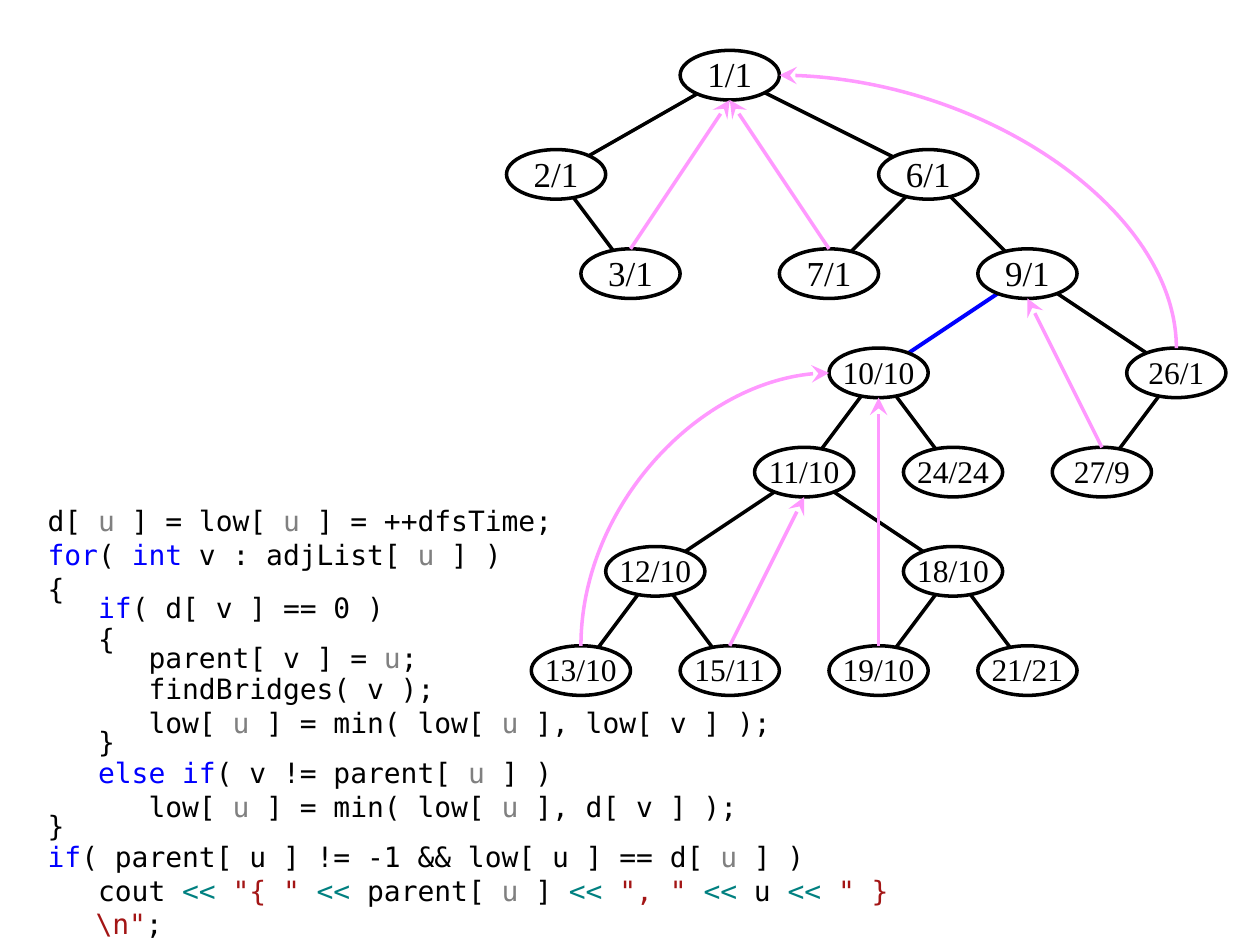
from lxml.etree import SubElement
from pptx import Presentation
from pptx.dml.color import RGBColor
from pptx.enum.shapes import MSO_CONNECTOR as Link, MSO_SHAPE as Preset
from pptx.enum.text import MSO_ANCHOR as Anchor, PP_ALIGN as Align
from pptx.oxml.ns import qn
from pptx.util import Inches, Pt

BLACK = RGBColor(0x00, 0x00, 0x00)
WHITE = RGBColor(0xFF, 0xFF, 0xFF)
BLUE = RGBColor(0x00, 0x00, 0xFF)
GRAY = RGBColor(0x80, 0x80, 0x80)
TEAL = RGBColor(0x00, 0x80, 0x80)
RED = RGBColor(0xA3, 0x15, 0x15)
PINK = RGBColor(0xFF, 0x99, 0xFF)

U = ("u", GRAY)
SHIFT = ("<<", TEAL)
SHIFT_GAP = ("<< ", TEAL)
CODE = [
    ["d[ ", U, " ] = low[ ", U, " ] = ++dfsTime;"],
    [("for", BLUE), "( ", ("int", BLUE), " v : adjList[ ", U, " ] )"],
    ["{"],
    ["   ", ("if", BLUE), "( d[ v ] == 0 )"],
    ["   {"],
    ["      parent[ v ] = ", U, ";"],
    ["      findBridges( v );"],
    ["      low[ ", U, " ] = min( low[ ", U, " ], low[ v ] );"],
    ["   }"],
    ["   ", ("else if", BLUE), "( v != parent[ ", U, " ] )"],
    ["      low[ ", U, " ] = min( low[ ", U, " ], d[ v ] );"],
    ["}"],
    [("if", BLUE), "( parent[ u ] != -1 && low[ u ] == d[ ", U, " ] )"],
    ["   cout ", SHIFT_GAP, ('"{ " ', RED), SHIFT, " parent[ ", U, " ] ", SHIFT_GAP,
     ('", " ', RED), SHIFT, " u ", SHIFT_GAP, ('" }\\n"', RED), ";"],
]
TIGHT_LINES = {3, 5, 8, 11}

TREE_COLUMNS = 29
NODES = {
    "1/1": (9, 0), "2/1": (2, 1), "6/1": (17, 1),
    "3/1": (5, 2), "7/1": (13, 2), "9/1": (21, 2),
    "10/10": (15, 3), "26/1": (27, 3),
    "11/10": (12, 4), "24/24": (18, 4), "27/9": (24, 4),
    "12/10": (6, 5), "18/10": (18, 5),
    "13/10": (3, 6), "15/11": (9, 6), "19/10": (15, 6), "21/21": (21, 6),
}
CHILDREN = {
    "1/1": ["2/1", "6/1"], "2/1": ["3/1"], "6/1": ["7/1", "9/1"],
    "9/1": ["10/10", "26/1"], "10/10": ["11/10", "24/24"], "26/1": ["27/9"],
    "11/10": ["12/10", "18/10"], "12/10": ["13/10", "15/11"],
    "18/10": ["19/10", "21/21"],
}
BRIDGE = ("9/1", "10/10")
STRAIGHT_BACK_EDGES = [("3/1", "1/1"), ("7/1", "1/1"), ("27/9", "9/1"),
                       ("19/10", "10/10"), ("15/11", "11/10")]
CURVED_BACK_EDGES = [("26/1", "1/1"), ("13/10", "10/10")]


def add_link(slide, kind, start, end, color, weight=2, arrow=False):
    """Add a connector between two points, with an optional arrowhead at its end."""
    link = slide.shapes.add_connector(kind, *map(int, (*start, *end)))
    link.line.color.rgb = color
    link.line.width = Pt(weight)
    properties = link._element.spPr
    if arrow:
        SubElement(properties.find(qn("a:ln")), qn("a:tailEnd"),
                   type="stealth", w="lg", len="lg")
    SubElement(properties, qn("a:effectLst"))
    return link


def add_curved_back_edge(slide, start, end):
    """Add a quarter curve that leaves upwards and arrives sideways."""
    (x1, y1), (x2, y2) = start, end
    middle_x, middle_y = (x1 + x2) / 2, (y1 + y2) / 2
    half_width, half_height = abs(y2 - y1) / 2, (x2 - x1) / 2
    curve = add_link(slide, Link.CURVE,
                     (middle_x - half_width, middle_y - half_height),
                     (middle_x + half_width, middle_y + half_height), PINK, arrow=True)
    properties = curve._element.spPr
    properties.find(qn("a:xfrm")).set("rot", str(270 * 60000))
    properties.find(qn("a:prstGeom")).set("prst", "curvedConnector2")


def add_node(slide, label, center, width, height):
    """Add one labelled ellipse around its center."""
    x, y = center
    node = slide.shapes.add_shape(Preset.OVAL, int(x - width / 2), int(y - height / 2),
                                  int(width), int(height))
    node.shadow.inherit = False
    node.fill.solid()
    node.fill.fore_color.rgb = WHITE
    node.line.color.rgb = BLACK
    node.line.width = Pt(2)
    frame = node.text_frame
    frame.word_wrap = False
    frame.vertical_anchor = Anchor.MIDDLE
    frame.margin_top, frame.margin_bottom = Inches(0.04), Inches(0.06)
    frame.text = label
    caption = frame.paragraphs[0]
    caption.alignment = Align.CENTER
    font = caption.runs[0].font
    font.name = "Times New Roman"
    font.size = Pt(20 if len(label) == 3 else 18)
    font.color.rgb = BLACK


def add_dfs_tree(slide, left, top, width):
    """Draw the search tree with its bridge and back edges."""
    unit = width / TREE_COLUMNS
    centers = {label: (left + column * unit, top + (1 + 4 * row) * unit)
               for label, (column, row) in NODES.items()}

    def site(label, across, down):
        x, y = centers[label]
        return x + across * unit, y + down * unit

    for parent, children in CHILDREN.items():
        for child in children:
            is_bridge = (parent, child) == BRIDGE
            add_link(slide, Link.STRAIGHT, centers[parent], centers[child],
                     BLUE if is_bridge else BLACK, 2.25 if is_bridge else 2)
    for label, center in centers.items():
        add_node(slide, label, center, 4 * unit, 2 * unit)
    for source, ancestor in STRAIGHT_BACK_EDGES:
        add_link(slide, Link.STRAIGHT, site(source, 0, -1), site(ancestor, 0, 1),
                 PINK, arrow=True)
    for source, ancestor in CURVED_BACK_EDGES:
        side = 2 if NODES[source][0] > NODES[ancestor][0] else -2
        add_curved_back_edge(slide, site(source, 0, -1), site(ancestor, side, 0))


def add_code(slide, left, top, width, height):
    """Write the highlighted bridge-finding code."""
    frame = slide.shapes.add_textbox(left, top, width, height).text_frame
    frame.word_wrap = True
    for number, tokens in enumerate(CODE):
        line = frame.add_paragraph() if number else frame.paragraphs[0]
        indents = line._p.get_or_add_pPr()
        indents.set("marL", str(Inches(0.38)))
        indents.set("indent", str(-Inches(0.38)))
        if number in TIGHT_LINES:
            line.line_spacing = 0.5
        for token in tokens:
            text, color = (token, BLACK) if isinstance(token, str) else token
            run = line.add_run()
            run.text = text
            run.font.name = "DejaVu Sans Mono"
            run.font.size = Pt(16)
            run.font.color.rgb = color


def main():
    """Build and save the slide."""
    deck = Presentation()
    deck.slide_width, deck.slide_height = Inches(10), Inches(7.5)
    slide = deck.slides.add_slide(deck.slide_layouts[6])
    add_code(slide, Inches(0.28), Inches(3.95), Inches(7.28), Inches(3.35))
    add_dfs_tree(slide, Inches(4.02), Inches(0.4), Inches(5.71))
    deck.save("out.pptx")


if __name__ == "__main__":
    main()
